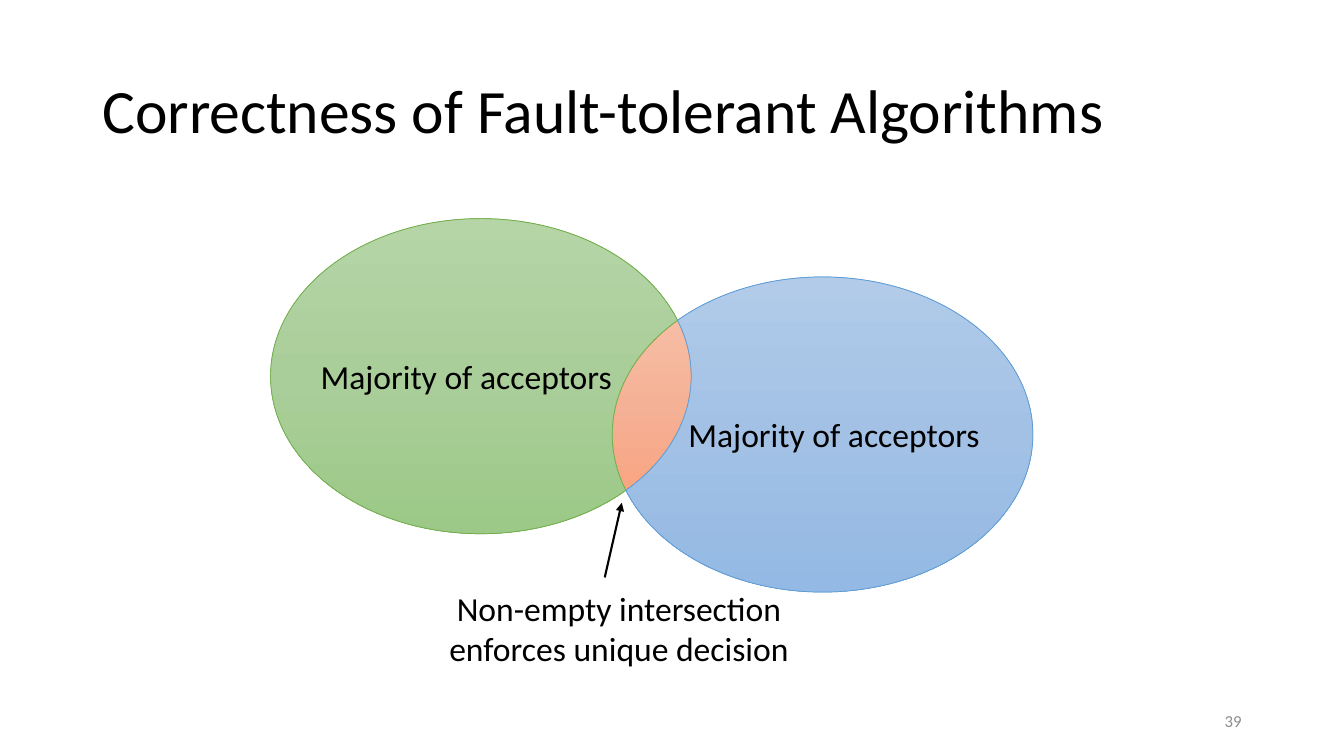
import math
from copy import deepcopy
from lxml import etree
from pptx import Presentation
from pptx import util as u
from pptx.dml.color import RGBColor
from pptx.enum import shapes, text
from pptx.oxml.ns import qn

LEFT, CENTER, RIGHT = text.PP_ALIGN.LEFT, text.PP_ALIGN.CENTER, text.PP_ALIGN.RIGHT
MIDDLE, TOP = text.MSO_ANCHOR.MIDDLE, text.MSO_ANCHOR.TOP

TEXTS = [
    ("Correctness of Fault-tolerant Algorithms",
     (2.33, 1.01, 29.21, 3.68), 44, "000000", LEFT, MIDDLE, True, 0.9),
    ("39", (23.92, 17.65, 7.62, 1.01), 12, "8C8C8C", RIGHT, MIDDLE, True, 1),
    ("Majority of acceptors",
     (7.83, 8.84, 7.92, 1.28), 24, "000000", LEFT, TOP, False, 1),
    ("Majority of acceptors",
     (17.1, 10.3, 7.92, 1.28), 24, "000000", LEFT, TOP, False, 1),
    ("Non-empty intersection\nenforces unique decision",
     (11.03, 14.68, 9.14, 2.31), 24, "000000", CENTER, TOP, False, 1),
]
GREEN = (("B5D5A7", "AACE9A", "9CC987"), "70AD47")
BLUE = (("B1CBE9", "A3C1E5", "93B9E4"), "5B9BD5")
ORANGE = (("F7BDA5", "F5B196", "F8A582"), "ED7D31")
LEFT_CENTER, RIGHT_CENTER = (12.12, 9.48), (20.73, 10.95)
RADIUS_X, RADIUS_Y = 5.3, 3.97
ARROW = (15.24, 14.55, 15.67, 12.67)

deck = Presentation()
deck.slide_width, deck.slide_height = u.Cm(33.87), u.Cm(19.05)
page = deck.slides.add_slide(deck.slide_layouts[6])


def color(value):
    return RGBColor.from_string(value)


def paint(shape, palette):
    stops, outline = palette
    shape.shadow.inherit = False
    shape.fill.gradient()
    shape.fill.gradient_angle = 270
    stop_list = shape.element.spPr.find(qn("a:gradFill")).find(qn("a:gsLst"))
    stop_list.insert(1, deepcopy(stop_list[0]))
    for stop, position, value in zip(shape.fill.gradient_stops, (0, 0.5, 1), stops):
        stop.position = position
        stop.color.rgb = color(value)
    shape.line.color.rgb = color(outline)
    shape.line.width = u.Pt(0.5)


def add_ellipse(center, palette):
    x, y = center
    paint(page.shapes.add_shape(
        shapes.MSO_SHAPE.OVAL, u.Cm(x - RADIUS_X), u.Cm(y - RADIUS_Y),
        u.Cm(2 * RADIUS_X), u.Cm(2 * RADIUS_Y)), palette)


def arc(center, start, stop):
    quarter = math.pi / 2
    first, last = math.ceil(start / quarter), math.floor(stop / quarter)
    angles = [start, *(i * quarter for i in range(first, last + 1)), stop]

    def place(angle, pull):
        return (u.Cm(center[0] + RADIUS_X * (math.cos(angle) - pull * math.sin(angle))),
                u.Cm(center[1] + RADIUS_Y * (math.sin(angle) + pull * math.cos(angle))))

    points = [place(start, 0)]
    for begin, end in zip(angles, angles[1:]):
        pull = 4 / 3 * math.tan((end - begin) / 4)
        points += [place(begin, pull), place(end, -pull), place(end, 0)]
    return points


def add_region(outward, back, palette):
    points = outward + back[1:]
    builder = page.shapes.build_freeform(*points[0])
    builder.add_line_segments(points[1:], close=True)
    region = builder.convert_to_shape()
    lines = list(region.element.iter(qn("a:lnTo")))
    for i in range(0, len(lines), 3):
        curve = etree.Element(qn("a:cubicBezTo"))
        lines[i].addprevious(curve)
        for line in lines[i:i + 3]:
            curve.append(line[0])
            line.getparent().remove(line)
    paint(region, palette)


def add_text(content, frame, size, value, align, anchor, wrap, spacing):
    box = page.shapes.add_textbox(*map(u.Cm, frame)).text_frame
    box.text = content
    box.word_wrap = wrap
    box.vertical_anchor = anchor
    for para in box.paragraphs:
        para.alignment = align
        para.line_spacing = spacing
        for span in para.runs:
            span.font.name = "Calibri"
            span.font.size = u.Pt(size)
            span.font.color.rgb = color(value)


def add_arrow(ends):
    arrow = page.shapes.add_connector(shapes.MSO_CONNECTOR.STRAIGHT, *map(u.Cm, ends))
    arrow.line.color.rgb = color("000000")
    arrow.line.width = u.Pt(1.5)
    properties = arrow.element.spPr
    etree.SubElement(properties.find(qn("a:ln")), qn("a:tailEnd"), type="triangle")
    etree.SubElement(properties, qn("a:effectLst"))


across = (RIGHT_CENTER[0] - LEFT_CENTER[0]) / RADIUS_X
down = (RIGHT_CENTER[1] - LEFT_CENTER[1]) / RADIUS_Y
axis = math.atan2(down, across)
half = math.acos(math.hypot(across, down) / 2)
left_inner = arc(LEFT_CENTER, axis - half, axis + half)
left_outer = arc(LEFT_CENTER, axis + half, axis - half + 2 * math.pi)
right_inner = arc(RIGHT_CENTER, axis + math.pi - half, axis + math.pi + half)
right_outer = arc(RIGHT_CENTER, axis + math.pi + half, axis + 3 * math.pi - half)

add_ellipse(LEFT_CENTER, GREEN)
add_ellipse(RIGHT_CENTER, BLUE)
add_region(left_inner, right_inner, ORANGE)
add_region(left_outer, right_inner[::-1], GREEN)
add_region(right_outer, left_inner[::-1], BLUE)
for item in TEXTS:
    add_text(*item)
add_arrow(ARROW)

deck.save("out.pptx")
